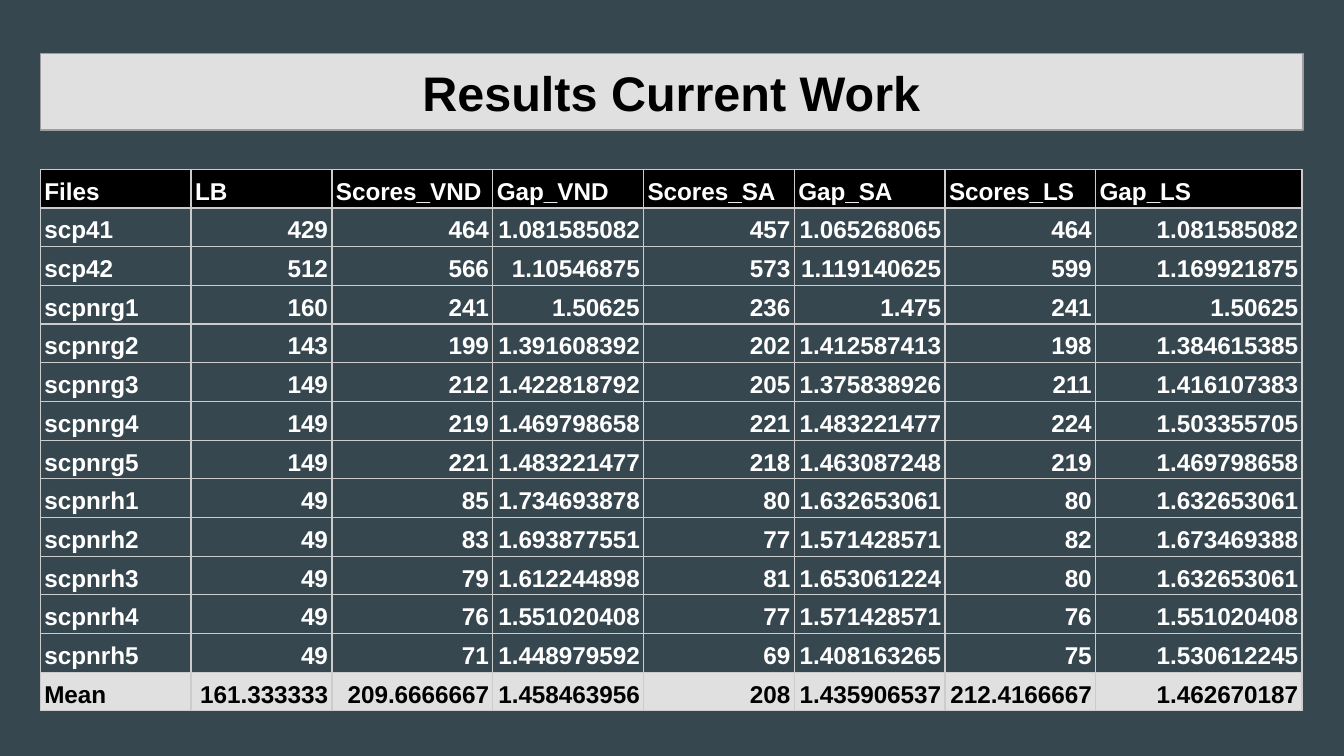
import pptx
import pptx.dml.color
import pptx.enum.shapes
import pptx.enum.text
import pptx.oxml
import pptx.oxml.ns
import pptx.util

Pt = pptx.util.Pt
ALIGN = pptx.enum.text.PP_ALIGN
ANCHOR = pptx.enum.text.MSO_ANCHOR

COLORS = {
    "slate": "37474F",
    "silver": "E0E0E0",
    "outline": "9E9E9E",
    "grid": "CCCCCC",
    "black": "000000",
    "white": "FFFFFF",
}

RESULTS = [
    "Files LB Scores_VND Gap_VND Scores_SA Gap_SA Scores_LS Gap_LS",
    "scp41 429 464 1.081585082 457 1.065268065 464 1.081585082",
    "scp42 512 566 1.10546875 573 1.119140625 599 1.169921875",
    "scpnrg1 160 241 1.50625 236 1.475 241 1.50625",
    "scpnrg2 143 199 1.391608392 202 1.412587413 198 1.384615385",
    "scpnrg3 149 212 1.422818792 205 1.375838926 211 1.416107383",
    "scpnrg4 149 219 1.469798658 221 1.483221477 224 1.503355705",
    "scpnrg5 149 221 1.483221477 218 1.463087248 219 1.469798658",
    "scpnrh1 49 85 1.734693878 80 1.632653061 80 1.632653061",
    "scpnrh2 49 83 1.693877551 77 1.571428571 82 1.673469388",
    "scpnrh3 49 79 1.612244898 81 1.653061224 80 1.632653061",
    "scpnrh4 49 76 1.551020408 77 1.571428571 76 1.551020408",
    "scpnrh5 49 71 1.448979592 69 1.408163265 75 1.530612245",
    "Mean 161.333333 209.6666667 1.458463956 208 1.435906537 212.4166667 1.462670187",
]


class SlideBuilder:
    """Hold the style and the current page, and add elements to it."""

    font = "Arial"
    line_width = 0.75

    def __init__(self, page):
        self.page = page

    def color(self, name):
        return pptx.dml.color.RGBColor.from_string(COLORS[name])

    def background(self, name):
        fill = self.page.background.fill
        fill.solid()
        fill.fore_color.rgb = self.color(name)

    def span(self, para, text, size, color):
        span = para.add_run()
        span.text = text
        span.font.name = self.font
        span.font.size = Pt(size)
        span.font.bold = True
        span.font.color.rgb = self.color(color)

    def banner(self, text, left, top, width, height):
        box = self.page.shapes.add_shape(
            pptx.enum.shapes.MSO_SHAPE.RECTANGLE,
            Pt(left), Pt(top), Pt(width), Pt(height))
        box.shadow.inherit = False
        box.fill.solid()
        box.fill.fore_color.rgb = self.color("silver")
        box.line.color.rgb = self.color("outline")
        box.line.width = Pt(self.line_width)
        frame = box.text_frame
        frame.word_wrap = True
        frame.vertical_anchor = ANCHOR.MIDDLE
        frame.margin_left = frame.margin_right = Pt(7.2)
        frame.margin_top = frame.margin_bottom = Pt(7.2)
        para = frame.paragraphs[0]
        para.alignment = ALIGN.CENTER
        self.span(para, text, 26, "black")

    def borders(self, cell):
        properties = cell._tc.get_or_add_tcPr()
        for side in ("lnL", "lnR", "lnT", "lnB"):
            properties.append(pptx.oxml.parse_xml(
                f'<a:{side} {pptx.oxml.ns.nsdecls("a")} w="{Pt(self.line_width)}">'
                f'<a:solidFill><a:srgbClr val="{COLORS["grid"]}"/></a:solidFill>'
                f'</a:{side}>'))

    def cell(self, cell, text, align, color, fill):
        self.borders(cell)
        if fill:
            cell.fill.solid()
            cell.fill.fore_color.rgb = self.color(fill)
        else:
            cell.fill.background()
        cell.vertical_anchor = ANCHOR.BOTTOM
        cell.margin_left = cell.margin_right = Pt(2.16)
        cell.margin_top = cell.margin_bottom = Pt(1.44)
        para = cell.text_frame.paragraphs[0]
        para.alignment = align
        para.line_spacing = 1.15
        self.span(para, text, 13, color)

    def table(self, rows, left, top, widths, row_height):
        table = self.page.shapes.add_table(
            len(rows), len(widths), Pt(left), Pt(top),
            Pt(sum(widths)), Pt(row_height * len(rows))).table
        table.first_row = table.horz_banding = False
        for column, width in zip(table.columns, widths):
            column.width = Pt(width)
        last = len(rows) - 1
        looks = {0: ("white", "black"), last: ("black", "silver")}
        for r, values in enumerate(rows):
            table.rows[r].height = Pt(row_height)
            color, fill = looks.get(r, ("white", None))
            for c, value in enumerate(values):
                align = ALIGN.RIGHT if r and c else ALIGN.LEFT
                self.cell(table.cell(r, c), value, align, color, fill)


def main():
    deck = pptx.Presentation()
    deck.slide_width = Pt(720)
    deck.slide_height = Pt(405)
    builder = SlideBuilder(deck.slides.add_slide(deck.slide_layouts[6]))
    builder.background("slate")
    builder.banner("Results Current Work", 21.6, 28.8, 676.5, 40.8)
    rows = [line.split() for line in RESULTS]
    widths = [80.75, 75.5, 86.25, 80.75, 80.75, 80.75, 80.75, 110.5]
    builder.table(rows, 21.6, 90.75, widths, 20.74)
    deck.save("out.pptx")


if __name__ == "__main__":
    main()
